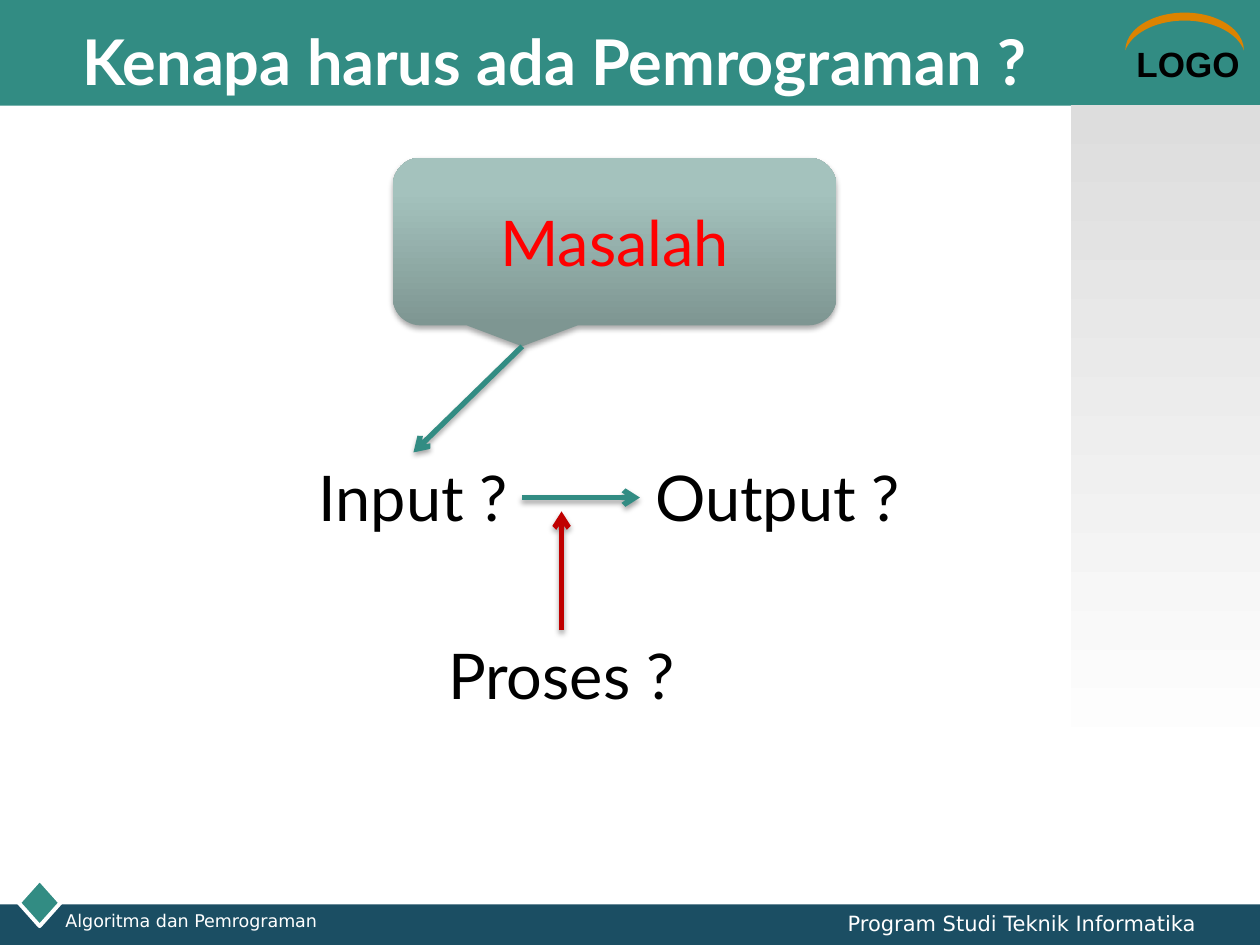
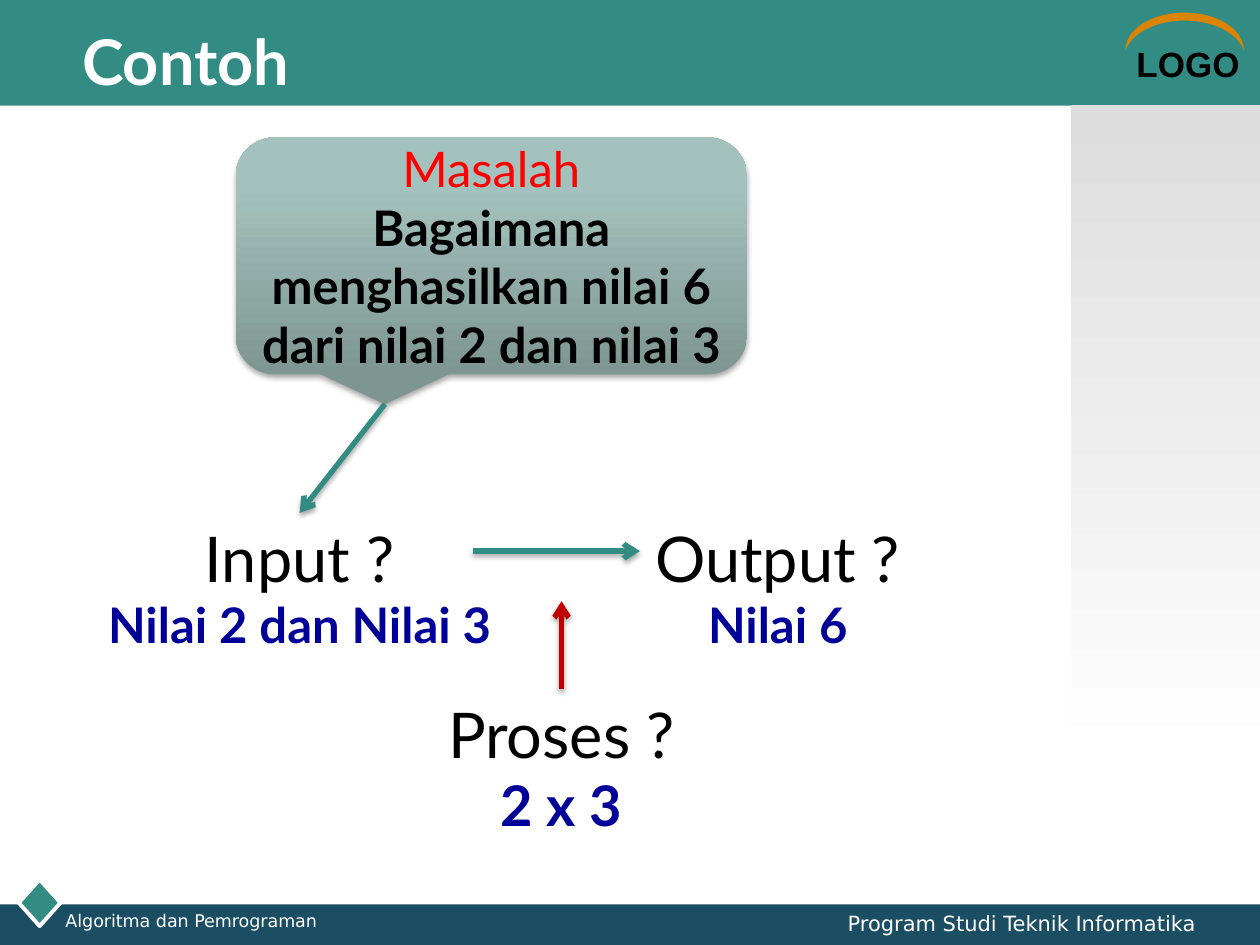
import collections

import lxml.etree
import pptx
import pptx.dml.color
import pptx.enum.shapes
import pptx.enum.text
import pptx.oxml.ns
import pptx.util

RGB = pptx.dml.color.RGBColor
Cm = pptx.util.Cm
Pt = pptx.util.Pt
KIND = pptx.enum.shapes.MSO_SHAPE
ALIGN = pptx.enum.text.PP_ALIGN
ANCHOR = pptx.enum.text.MSO_ANCHOR
FIT = pptx.enum.text.MSO_AUTO_SIZE
qn = pptx.oxml.ns.qn

TEAL = RGB(0x32, 0x8C, 0x83)
NAVY = RGB(0x1B, 0x4E, 0x63)
ORANGE = RGB(0xDC, 0x83, 0x00)
WHITE = RGB(0xFF, 0xFF, 0xFF)
BLACK = RGB(0x00, 0x00, 0x00)
RED = RGB(0xFF, 0x00, 0x00)
CRIMSON = RGB(0xC0, 0x00, 0x00)
BLUE = RGB(0x00, 0x00, 0x99)
GREY = RGB(0xDD, 0xDD, 0xDD)
SAGE_LOW = RGB(0x7E, 0x96, 0x92)
SAGE_MID = RGB(0xA4, 0xC2, 0xBD)
SAGE_TOP = RGB(0xA4, 0xC4, 0xBF)

Box = collections.namedtuple("Box", "left top width height")
Line = collections.namedtuple("Line", "text size color bold font",
                              defaults=(False, "Lato"))

PAGE = Box(0, 0, 25.4, 19.05)
HEAD = Box(0, 0, 25.4, 2.13)
FOOT = Box(0, 18.23, 25.4, 0.82)
BODY = Box(0, 2.13, 25.4, 16.1)


def inner(box, left, top, width, height):
    """Return a box whose corner is measured from that of the given box."""
    return Box(box.left + left, box.top + top, width, height)


def place(box):
    return [Cm(side) for side in box]


def write(frame, lines, align):
    for num, line in enumerate(lines):
        para = frame.paragraphs[0] if num == 0 else frame.add_paragraph()
        para.alignment = align
        run = para.add_run()
        run.text = line.text
        run.font.name = line.font
        run.font.size = Pt(line.size)
        run.font.bold = line.bold
        run.font.color.rgb = line.color


def label(slide, box, lines, align=ALIGN.CENTER, wrap=False):
    frame = slide.shapes.add_textbox(*place(box)).text_frame
    frame.word_wrap = wrap
    write(frame, lines, align)


def plain(slide, kind, box, color=None):
    shape = slide.shapes.add_shape(kind, *place(box))
    shape.shadow.inherit = False
    shape.line.fill.background()
    if color is not None:
        shape.fill.solid()
        shape.fill.fore_color.rgb = color
    return shape


def blend(shape, stops, angle):
    """Fill with a gradient of (percent, colour) stops."""
    shape.fill.gradient()
    shape.fill.gradient_angle = angle
    group = next(shape.element.iter(qn("a:gsLst")))
    for old in list(group):
        group.remove(old)
    for percent, color in stops:
        stop = lxml.etree.SubElement(group, qn("a:gs"), pos=str(percent * 1000))
        lxml.etree.SubElement(stop, qn("a:srgbClr"), val=str(color))


def shade(effects):
    """Put a soft shadow below into an empty effect list."""
    outer = lxml.etree.SubElement(
        effects, qn("a:outerShdw"), blurRad=str(Pt(3.1)), dist=str(Pt(1.8)),
        dir="5400000", rotWithShape="0")
    tint = lxml.etree.SubElement(outer, qn("a:srgbClr"), val=str(BLACK))
    lxml.etree.SubElement(tint, qn("a:alpha"), val="35000")


def arrow(slide, start, end, color=TEAL):
    line = slide.shapes.add_connector(
        pptx.enum.shapes.MSO_CONNECTOR.STRAIGHT, *place(start + end))
    line.line.color.rgb = color
    line.line.width = Pt(3)
    props = line.element.spPr
    lxml.etree.SubElement(props.find(qn("a:ln")), qn("a:tailEnd"), type="arrow")
    shade(lxml.etree.SubElement(props, qn("a:effectLst")))


def header(slide, box):
    plain(slide, KIND.RECTANGLE, box, TEAL)
    label(slide, inner(box, 22.66, 0.74, 2.74, 1.09),
          [Line("LOGO", 20, BLACK, True, "Arial")], ALIGN.LEFT)
    arc = plain(slide, KIND.MOON, inner(box, 23.5, -0.56, 0.76, 2.39), ORANGE)
    arc.rotation = 90
    arc.adjustments[0] = 0.21


def panel(slide, box):
    side = plain(slide, KIND.RECTANGLE, inner(box, 21.59, -0.02, 3.81, 13.34))
    blend(side, [(0, GREY), (100, WHITE)], 270)


def footer(slide, box):
    plain(slide, KIND.RECTANGLE, box, NAVY)
    gem = plain(slide, KIND.DIAMOND, inner(box, 0.38, -0.5, 0.84, 0.94), TEAL)
    gem.line.color.rgb = WHITE
    gem.line.width = Pt(2.25)


def credits(slide, box):
    label(slide, inner(box, 1.07, 0, 6.78, 0.58),
          [Line("Algoritma dan Pemrograman", 10, WHITE, font="DejaVu Sans")],
          ALIGN.LEFT, True)
    label(slide, inner(box, 14.3, 0, 10.06, 0.61),
          [Line("Program Studi Teknik Informatika", 12, WHITE, font="DejaVu Sans")],
          ALIGN.RIGHT, True)


def dress(layout, slide):
    """Build the shared bands on the slide and move them to its layout."""
    for holder in list(layout.placeholders):
        if holder.placeholder_format.idx != 0:
            holder.element.getparent().remove(holder.element)
    title = layout.placeholders[0]
    title.left, title.top, title.width, title.height = place(
        inner(HEAD, 1.4, 0.43, 22.86, 1.57))
    title.text_frame.vertical_anchor = ANCHOR.MIDDLE
    header(slide, HEAD)
    footer(slide, FOOT)
    panel(slide, BODY)
    tree = title.element.getparent()
    for shape in list(slide.shapes):
        if not shape.is_placeholder:
            tree.append(shape.element)


def head(slide, text):
    frame = slide.shapes.title.text_frame
    frame.auto_size = FIT.NONE
    write(frame, [Line(text, 36, WHITE, True)], ALIGN.LEFT)


def callout(slide, box, lines):
    """Draw the problem bubble and return the tip of its tail."""
    bubble = plain(slide, KIND.ROUNDED_RECTANGULAR_CALLOUT, box)
    blend(bubble, [(0, SAGE_LOW), (80, SAGE_MID), (100, SAGE_TOP)], 90)
    shade(bubble.element.spPr.find(qn("a:effectLst")))
    frame = bubble.text_frame
    frame.word_wrap = True
    frame.vertical_anchor = ANCHOR.MIDDLE
    write(frame, lines, ALIGN.CENTER)
    tail_x, tail_y = bubble.adjustments[0], bubble.adjustments[1]
    return (box.left + box.width * (0.5 + tail_x),
            box.top + box.height * (0.5 + tail_y))


def above(box):
    return box.left + box.width / 2, box.top


def flow(slide, box, bubble, issue, parts, link, rise):
    """Draw issue, input, output and process; link is the start of the
    input arrow and rise the height where the process arrow ends."""
    tip = callout(slide, inner(box, *bubble), issue)
    spots = []
    for name, (spot, notes) in zip(("Input ?", "Output ?", "Proses ?"), parts):
        spots.append(inner(box, *spot))
        label(slide, spots[-1], [Line(name, 36, BLACK)] + notes)
    source, result, process = spots
    arrow(slide, tip, above(source))
    across = box.top + link[1]
    arrow(slide, (box.left + link[0], across), (result.left, across))
    base = above(process)
    arrow(slide, base, (base[0], box.top + rise), CRIMSON)


def note(text, size=28):
    return [Line(text, size, BLUE, True)]


def main():
    deck = pptx.Presentation()
    deck.slide_width, deck.slide_height = Cm(PAGE.width), Cm(PAGE.height)
    layout = deck.slide_layouts[5]

    why = deck.slides.add_slide(layout)
    dress(layout, why)
    head(why, "Kenapa harus ada Pemrograman ?")
    flow(why, BODY, (7.92, 1.05, 8.94, 3.38), [Line("Masalah", 36, RED)],
         [((6.15, 6.99, 4.37, 1.8), []),
          ((12.9, 6.99, 5.56, 1.8), []),
          ((8.74, 10.57, 5.16, 1.8), [])],
         link=(10.52, 7.9), rise=8.18)
    credits(why, FOOT)

    case = deck.slides.add_slide(layout)
    head(case, "Contoh")
    flow(case, BODY, (4.75, 0.64, 10.31, 4.78),
         [Line("Masalah", 28, RED),
          Line("Bagaimana menghasilkan nilai 6 dari nilai 2 dan nilai 3",
               28, BLACK, True)],
         [((1.57, 8.21, 8.94, 3), note("Nilai 2 dan Nilai 3")),
          ((12.9, 8.21, 5.56, 3), note("Nilai 6")),
          ((8.74, 11.76, 5.16, 3.18), note("2 x 3", 32))],
         link=(9.53, 8.98), rise=9.99)
    credits(case, FOOT)

    deck.save("out.pptx")


if __name__ == "__main__":
    main()
